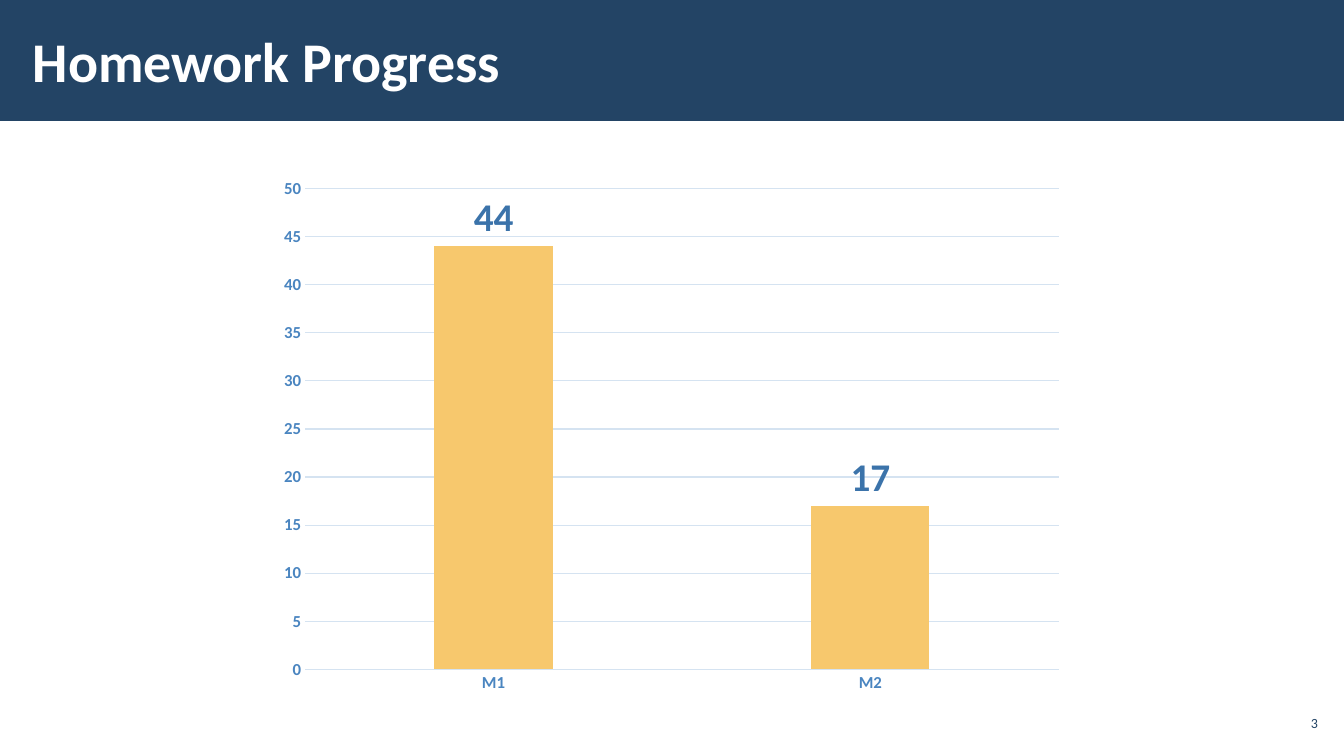
from pptx import Presentation
from pptx.chart.data import CategoryChartData
from pptx.dml.color import RGBColor
from pptx.enum.chart import XL_CHART_TYPE as CHART, XL_LABEL_POSITION as LABEL, XL_TICK_MARK as TICK
from pptx.enum.shapes import MSO_SHAPE as SHAPE
from pptx.enum.text import MSO_ANCHOR as ANCHOR, MSO_AUTO_SIZE as AUTO, PP_ALIGN as ALIGN
from pptx.util import Pt

PX = 914400 / 100.8
FONT = "Calibri"
NAVY, WHITE, GOLD = "234465", "FFFFFF", "F7C86D"
BLUE, STEEL, PALE = "3B73AA", "4A85C0", "D5E3F1"


def px(n):
    """Turn pixels into EMU."""
    return round(n * PX)


def color(hex_code):
    """Turn a hex string into a colour."""
    return RGBColor.from_string(hex_code)


def style(font, size, fill, bold=False):
    """Set the face, size, colour and weight of a font."""
    font.name, font.size, font.bold = FONT, Pt(size), bold
    font.color.rgb = color(fill)


def place(sp, box):
    """Move a shape to a box of left, top, width, height."""
    sp.left, sp.top, sp.width, sp.height = map(px, box)


def write(sp, text, size, fill, bold=False, align=ALIGN.LEFT, insets=(4, 4)):
    """Put one formatted line of text into a shape."""
    tf = sp.text_frame
    tf.word_wrap, tf.auto_size = True, AUTO.NONE
    tf.vertical_anchor = ANCHOR.MIDDLE
    tf.margin_left = tf.margin_right = px(insets[0])
    tf.margin_top = tf.margin_bottom = px(insets[1])
    p = tf.paragraphs[0]
    p.alignment = align
    r = p.add_run()
    r.text = text
    style(r.font, size, fill, bold)


def add_header(s, text, box):
    """Draw the title band and place the title on it."""
    left, top, width, height = box
    band = s.shapes.add_shape(SHAPE.RECTANGLE, *map(px, box))
    band.shadow.inherit = False
    band.fill.solid()
    band.fill.fore_color.rgb = color(NAVY)
    band.line.fill.background()
    title = s.shapes.title
    band._element.addnext(title._element)
    place(title, (left + 21, top + 11, 1048, height - 23))
    write(title, text, 40, WHITE, bold=True, insets=(12, 4))


def add_page_number(s, number, box):
    """Write the page number at the right of its box."""
    sp = s.shapes.add_textbox(*map(px, box))
    write(sp, str(number), 10, NAVY, align=ALIGN.RIGHT)


def format_axis(axis):
    """Give an axis its label font and hide its ticks."""
    axis.major_tick_mark = axis.minor_tick_mark = TICK.NONE
    style(axis.tick_labels.font, 12, STEEL, bold=True)


def format_line(line):
    """Make a line thin and pale."""
    line.color.rgb = color(PALE)
    line.width = Pt(0.75)


def add_progress_chart(s, values, box):
    """Draw a labelled column chart from a dict of values."""
    data = CategoryChartData()
    data.categories = list(values)
    data.add_series("Series 1", list(values.values()))
    chart = s.shapes.add_chart(CHART.COLUMN_CLUSTERED, *map(px, box), data).chart
    chart.has_title = chart.has_legend = False
    style(chart.font, 10, NAVY)

    format_axis(chart.category_axis)
    format_line(chart.category_axis.format.line)
    axis = chart.value_axis
    format_axis(axis)
    axis.format.line.fill.background()
    axis.has_major_gridlines = True
    format_line(axis.major_gridlines.format.line)
    axis.minimum_scale, axis.maximum_scale, axis.major_unit = 0, 50, 5

    plot = chart.plots[0]
    plot.gap_width, plot.overlap, plot.vary_by_categories = 219, -27, False
    series = plot.series[0]
    series.format.fill.solid()
    series.format.fill.fore_color.rgb = color(GOLD)
    labels = series.data_labels
    labels.show_value, labels.position = True, LABEL.OUTSIDE_END
    style(labels.font, 28, BLUE, bold=True)


def main():
    """Build the slide and save it."""
    prs = Presentation()
    prs.slide_width, prs.slide_height = px(1344), px(756)
    s = prs.slides.add_slide(prs.slide_layouts[5])
    add_header(s, "Homework Progress", (0, 0, 1344, 121))
    add_page_number(s, 3, (1275, 706, 47, 34))
    add_progress_chart(s, {"M1": 44, "M2": 17}, (268, 168, 807, 536))
    prs.save("out.pptx")


if __name__ == "__main__":
    main()
